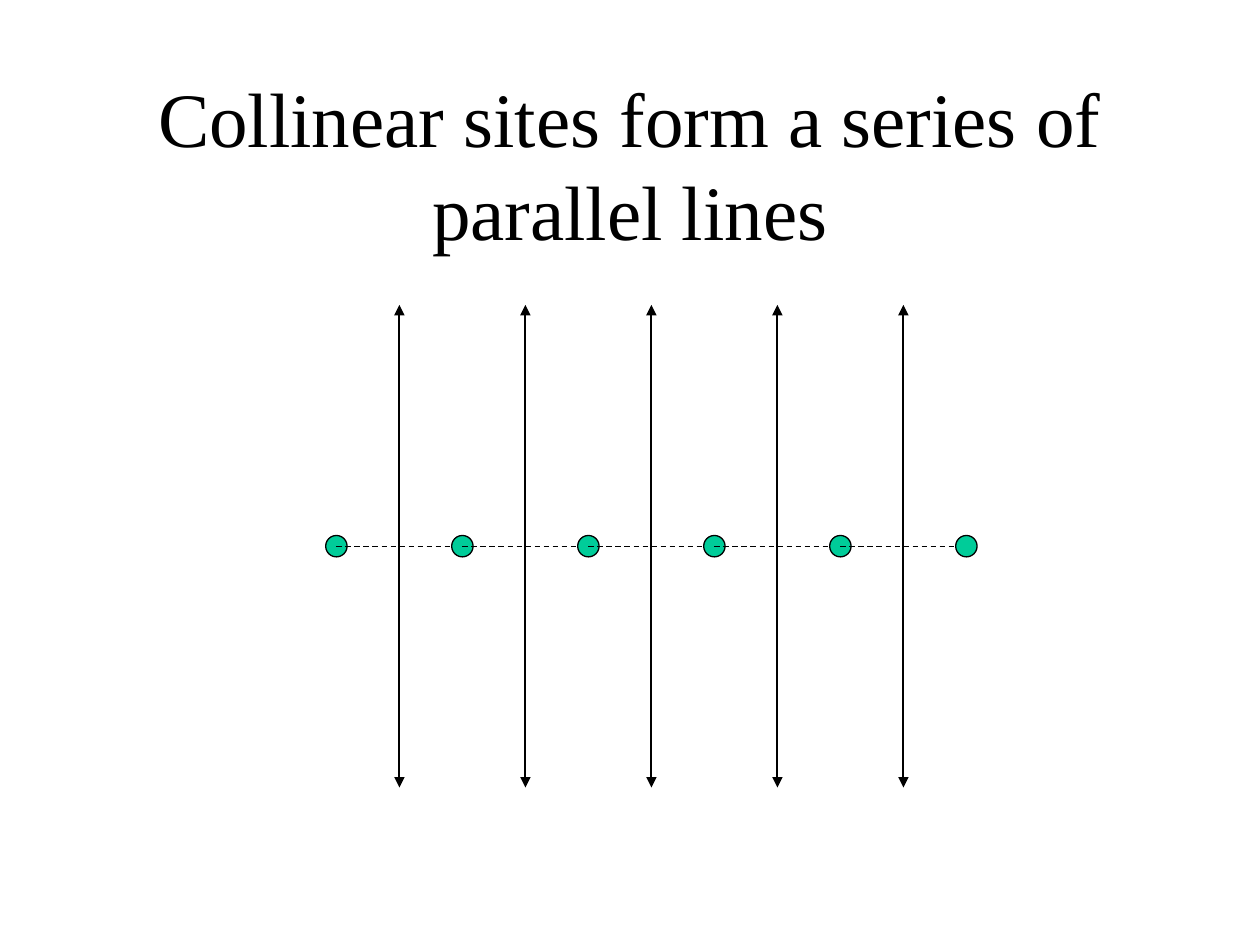
import pptx
import pptx.util
import pptx.dml.color
import pptx.enum.dml
import pptx.enum.shapes
import pptx.enum.text
from lxml import etree
from pptx.oxml.ns import qn
from pptx.util import Inches, Pt

COLORS = {"ink": "000000", "site": "00CC99"}
SITE_COUNT = 6
SITE_SIZE = 0.17


def color(name):
    """Return the named colour."""
    return pptx.dml.color.RGBColor.from_string(COLORS[name])


def add_line(slide, start, end, width, dashed=False, arrows=False):
    """Draw a straight line, optionally dashed or with arrows at both ends."""
    line = slide.shapes.add_connector(
        pptx.enum.shapes.MSO_CONNECTOR.STRAIGHT,
        *(Inches(value) for value in (*start, *end)))
    line.line.color.rgb = color("ink")
    line.line.width = Pt(width)
    if dashed:
        line.line.dash_style = pptx.enum.dml.MSO_LINE.DASH
    if arrows:
        outline = line.line._get_or_add_ln()
        for tag in ("a:headEnd", "a:tailEnd"):
            etree.SubElement(outline, qn(tag), type="triangle")
    etree.SubElement(line._element.spPr, qn("a:effectLst"))


def add_site(slide, x, y):
    """Draw a site centred on a point."""
    site = slide.shapes.add_shape(
        pptx.enum.shapes.MSO_SHAPE.OVAL,
        Inches(x - SITE_SIZE / 2), Inches(y - SITE_SIZE / 2),
        Inches(SITE_SIZE), Inches(SITE_SIZE))
    site.shadow.inherit = False
    site.fill.solid()
    site.fill.fore_color.rgb = color("site")
    site.line.color.rgb = color("ink")
    site.line.width = Pt(0.75)


def add_title(slide, left, top, width, height):
    """Place the centred slide title."""
    box = slide.shapes.add_textbox(
        Inches(left), Inches(top), Inches(width), Inches(height))
    frame = box.text_frame
    frame.word_wrap = True
    frame.vertical_anchor = pptx.enum.text.MSO_ANCHOR.MIDDLE
    para = frame.paragraphs[0]
    para.alignment = pptx.enum.text.PP_ALIGN.CENTER
    span = para.add_run()
    span.text = "Collinear sites form a series of parallel lines"
    span.font.name = "Times New Roman"
    span.font.size = Pt(44)
    span.font.color.rgb = color("ink")


def add_diagram(slide, left, top, width, height):
    """Draw collinear sites and the parallel bisectors between them."""
    gap = width / (SITE_COUNT - 1)
    middle = top + height / 2
    for index in range(SITE_COUNT):
        x = left + index * gap
        add_site(slide, x, middle)
        if index < SITE_COUNT - 1:
            add_line(slide, (x, middle), (x + gap, middle), 0.75, dashed=True)
            bisector = x + gap / 2
            add_line(slide, (bisector, top), (bisector, top + height), 1.25,
                     arrows=True)


def main():
    """Build and save the slide."""
    deck = pptx.Presentation()
    deck.slide_width, deck.slide_height = Inches(10), Inches(7.5)
    page = deck.slides.add_slide(deck.slide_layouts[6])
    add_title(page, 0.75, 0.67, 8.5, 1.25)
    add_diagram(page, 2.67, 2.42, 5, 3.83)
    deck.save("out.pptx")


if __name__ == "__main__":
    main()
